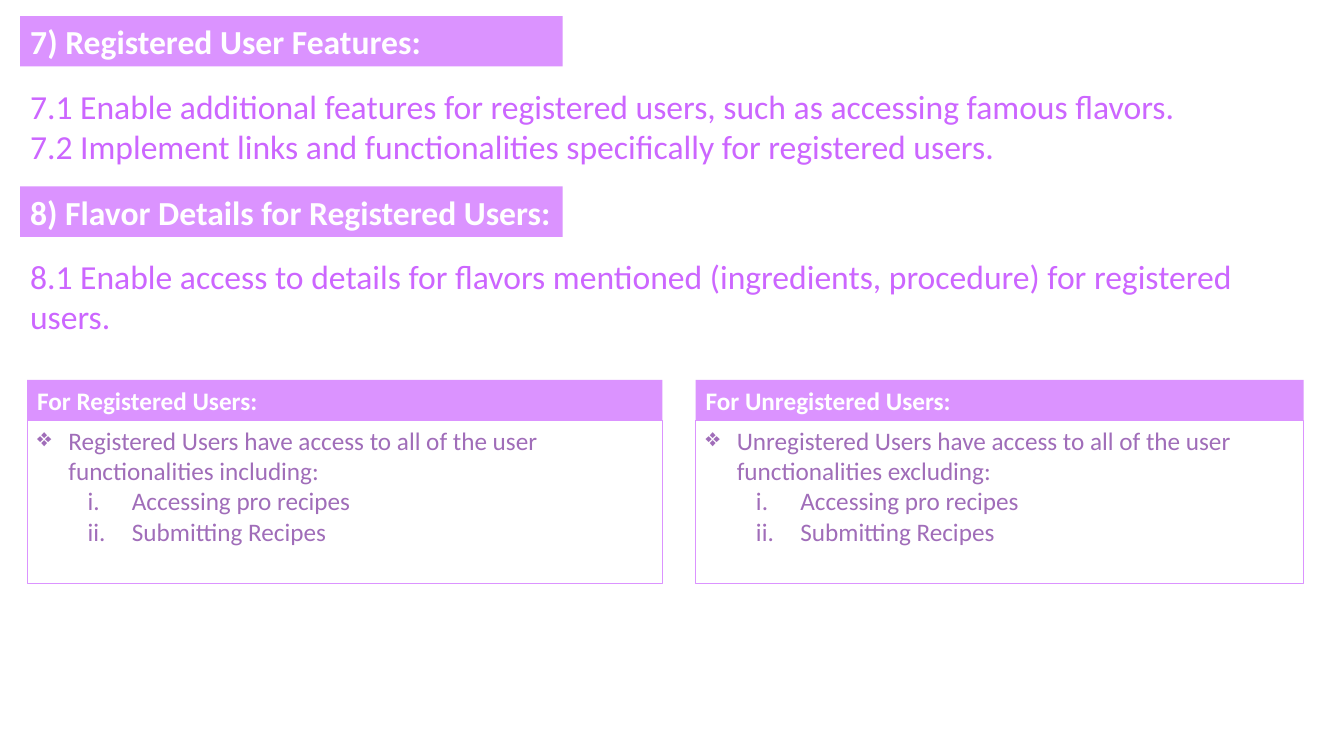
from lxml.etree import SubElement
from pptx import Presentation
from pptx.dml.color import RGBColor
from pptx.enum.shapes import MSO_SHAPE
from pptx.enum.text import MSO_ANCHOR, MSO_AUTO_SIZE, PP_ALIGN
from pptx.oxml.ns import qn
from pptx.util import Inches, Pt

LILAC, VIOLET, PLUM, WHITE = "DB93FF", "CC66FF", "A06DB9", "FFFFFF"

SECTIONS = [
    ("7) Registered User Features:",
     ["7.1 Enable additional features for registered users, such as accessing famous flavors.",
      "7.2 Implement links and functionalities specifically for registered users."]),
    ("8) Flavor Details for Registered Users:",
     ["8.1 Enable access to details for flavors mentioned (ingredients, procedure) "
      "for registered users."]),
]
RECIPES = ["Accessing pro recipes", "Submitting Recipes"]
# left, width, heading, summary
CARDS = [
    (0.27, 6.3, "For Registered Users:",
     "Registered Users have access to all of the user functionalities including:"),
    (6.9, 6.03, "For Unregistered Users:",
     "Unregistered Users have access to all of the user functionalities excluding:"),
]

HEADING = {"size": Pt(24), "bold": True}
BODY = {"size": Pt(24), "bold": False}
CARD_HEADING = {"size": Pt(18), "bold": True}
CARD_BODY = {"size": Pt(18), "bold": False}

SECTION_LEFT, SECTION_TOP, SECTION_STEP = 0.2, 0.16, 1.69
BAR_W, BAR_H, BODY_OFFSET, BODY_W, BODY_H = 5.38, 0.5, 0.64, 12.73, 0.91
CARD_TOP, CARD_HEAD_H, CARD_BODY_H = 3.77, 0.4, 1.62


def rgb(value):
    return RGBColor.from_string(value)


def place(sp, left, top, width, height):
    sp.left, sp.top, sp.width, sp.height = map(Inches, (left, top, width, height))


def add_rect(s, box, fill=None, line=None):
    sp = s.shapes.add_shape(MSO_SHAPE.RECTANGLE, *map(Inches, box))
    sp.shadow.inherit = False
    if fill:
        sp.fill.solid()
        sp.fill.fore_color.rgb = rgb(fill)
    else:
        sp.fill.background()
    if line:
        sp.line.color.rgb = rgb(line)
        sp.line.width = Pt(0.75)
    else:
        sp.line.fill.background()
    return sp


def add_bullet(p, margin, hanging, tag, **attrs):
    pPr = p._p.get_or_add_pPr()
    pPr.set("marL", str(Inches(margin)))
    pPr.set("indent", str(-Inches(hanging)))
    SubElement(pPr, qn(tag), attrs)


def write(sp, lines, color, style, listed=False):
    """Fill a shape with paragraphs; a listed one is a bullet with numbered items."""
    tf = sp.text_frame
    tf.word_wrap = True
    tf.auto_size = MSO_AUTO_SIZE.NONE
    tf.vertical_anchor = MSO_ANCHOR.TOP
    for i, line in enumerate(lines):
        p = tf.paragraphs[0] if i == 0 else tf.add_paragraph()
        p.alignment = PP_ALIGN.LEFT
        if listed and i == 0:
            add_bullet(p, 0.31, 0.31, "a:buChar", char="❖")
        elif listed:
            p.level = 1
            add_bullet(p, 0.94, 0.44, "a:buAutoNum", type="romanLcPeriod")
        r = p.add_run()
        r.text = line
        for name, value in {"name": "Calibri", **style}.items():
            setattr(r.font, name, value)
        r.font.color.rgb = rgb(color)


def main():
    prs = Presentation()
    prs.slide_width, prs.slide_height = Inches(13.33), Inches(7.5)
    s = prs.slides.add_slide(prs.slide_layouts[5])

    for i, (heading, lines) in enumerate(SECTIONS):
        top = SECTION_TOP + i * SECTION_STEP
        box = (SECTION_LEFT, top, BAR_W, BAR_H)
        if i == 0:
            bar = s.shapes.title
            place(bar, *box)
            bar.fill.solid()
            bar.fill.fore_color.rgb = rgb(LILAC)
        else:
            bar = add_rect(s, box, fill=LILAC)
        write(bar, [heading], WHITE, HEADING)
        body = s.shapes.add_textbox(
            *map(Inches, (SECTION_LEFT, top + BODY_OFFSET, BODY_W, BODY_H)))
        write(body, lines, VIOLET, BODY)

    for left, width, heading, summary in CARDS:
        body = add_rect(s, (left, CARD_TOP + CARD_HEAD_H, width, CARD_BODY_H), line=LILAC)
        write(body, [summary, *RECIPES], PLUM, CARD_BODY, listed=True)
        head = add_rect(s, (left, CARD_TOP, width, CARD_HEAD_H), fill=LILAC)
        write(head, [heading], WHITE, CARD_HEADING)

    prs.save("out.pptx")


if __name__ == "__main__":
    main()
